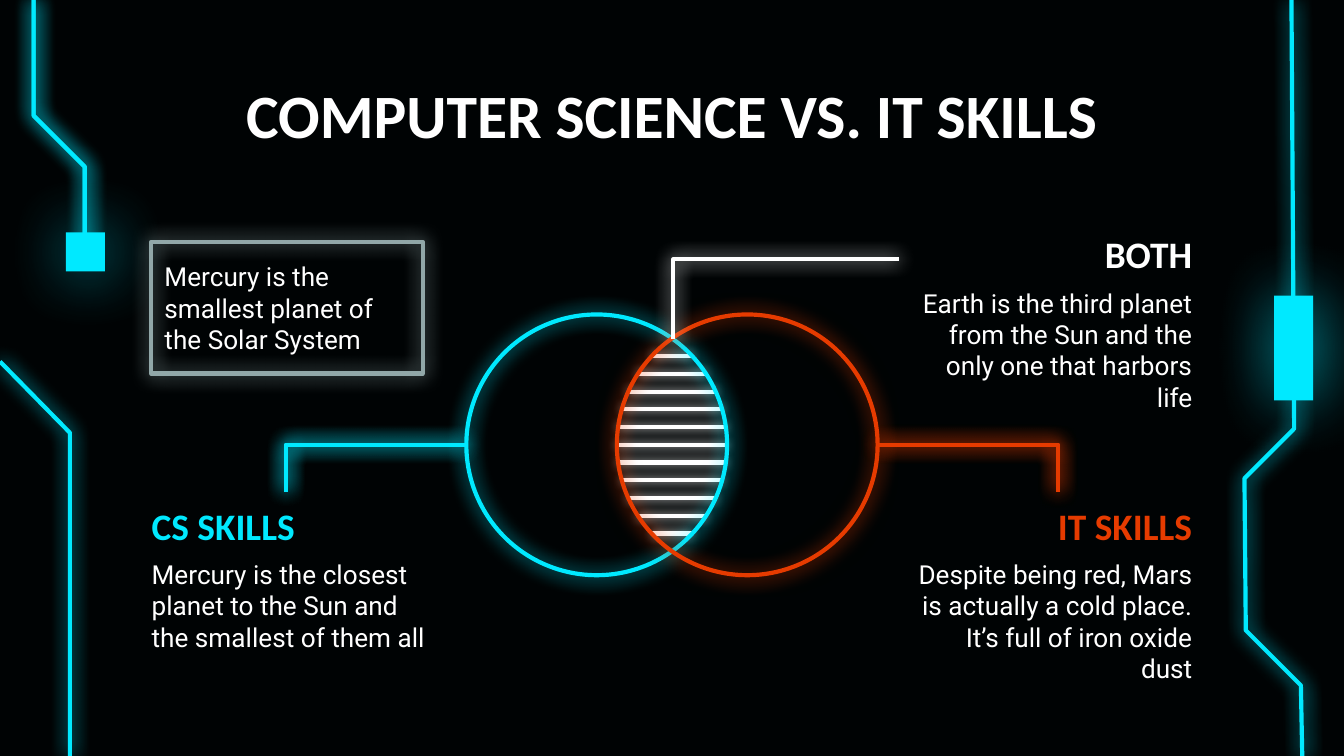
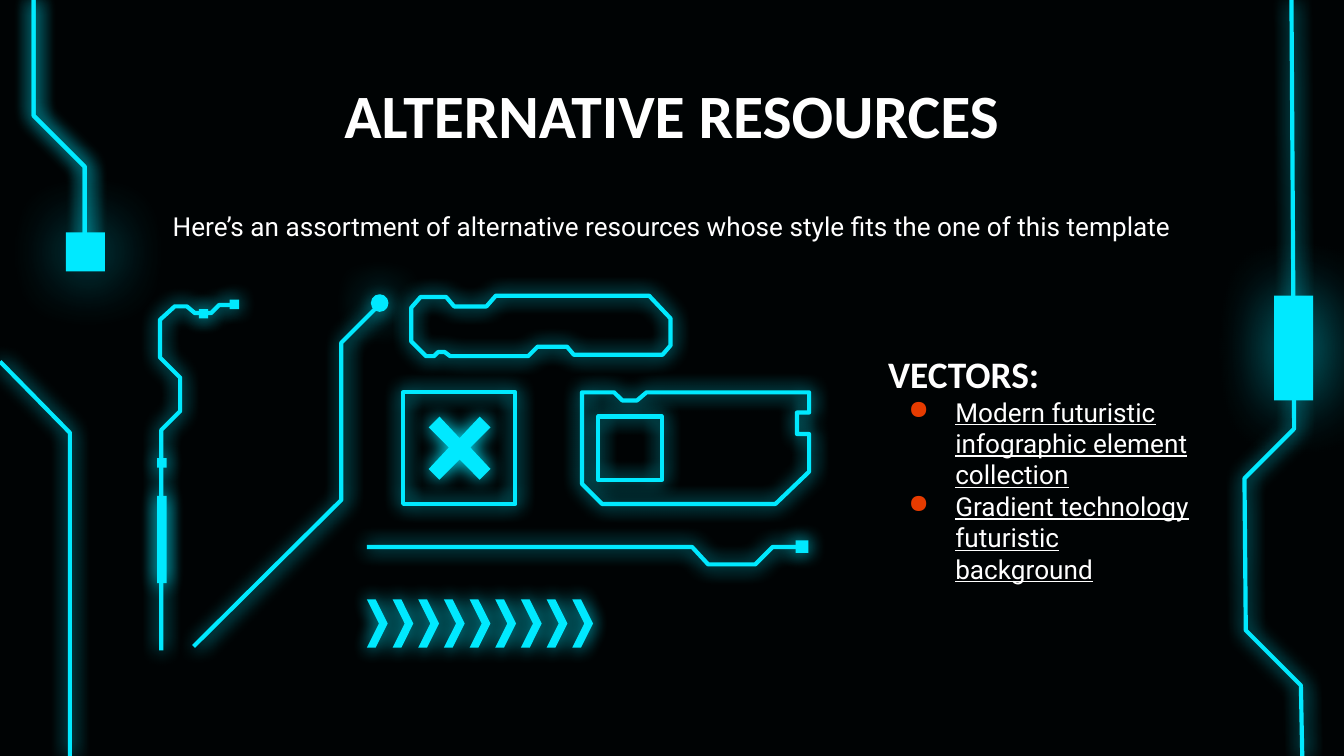
from dataclasses import dataclass
from math import sqrt

from lxml import etree
from pptx import Presentation
from pptx.dml.color import RGBColor
from pptx.enum.shapes import MSO_CONNECTOR, MSO_SHAPE
from pptx.enum.text import MSO_ANCHOR, MSO_AUTO_SIZE, PP_ALIGN
from pptx.oxml.ns import qn
from pptx.slide import Slide
from pptx.util import Emu, Inches, Pt

CENTER, LEFT, RIGHT = PP_ALIGN.CENTER, PP_ALIGN.LEFT, PP_ALIGN.RIGHT
TOP, MIDDLE = MSO_ANCHOR.TOP, MSO_ANCHOR.MIDDLE
RECTANGLE, OVAL = MSO_SHAPE.RECTANGLE, MSO_SHAPE.OVAL
STRAIGHT, ELBOW = MSO_CONNECTOR.STRAIGHT, MSO_CONNECTOR.ELBOW

COLUMNS, ROWS = 100, 56.25
CELL = Inches(0.1)
BLACK, WHITE, CYAN, RED, GRAY = "000304", "FFFFFF", "00E9FF", "E63B00", "91A7A8"
HEADING = dict(font="Calibri", bold=True, size=20)
BODY = dict(font="Roboto", size=14)

Point = tuple[float, float]
Area = tuple[float, float, float, float]


@dataclass(frozen=True)
class Style:
    """Neon look: a glowing outline, a glowing fill, or both."""
    color: str = CYAN
    filled: bool = False
    width: float = 2.25
    blur: float = 10.1
    alpha: int = 100
    shift: float = 0


@dataclass(frozen=True)
class Trace:
    points: tuple[Point, ...]
    closed: bool = False
    style: Style = Style()


@dataclass(frozen=True)
class Skill:
    heading: str
    text: str
    left: float
    top: float
    color: str
    align: PP_ALIGN


@dataclass(frozen=True)
class Pointer:
    start: Point
    end: Point
    color: str
    preset: str = "bentConnector3"


OUTLINE = Style()
SHIFTED = Style(shift=1.5)
SOLID = Style(filled=True, width=0)
HALO = Style(filled=True, width=0, blur=36, alpha=70, shift=1.5)

LEFT_TRACE = ((2.5, 0), (2.5, 8.6), (6.3, 12.4), (6.3, 18.5))
FRAME_TRACES = (
    Trace(((96.1, 0), (96.3, 31.9), (92.6, 35.6), (92.7, 46.9), (96.8, 51), (96.9, ROWS))),
    Trace(LEFT_TRACE, style=SHIFTED),
    Trace(LEFT_TRACE),
    Trace(((0, 26.9), (5.2, 32.2), (5.2, ROWS))),
)
FRAME_BLOCKS = ((94.8, 22, 2.9, 7.8), (4.9, 17.3, 2.9, 2.9))

SKILLS = (
    Skill("CS SKILLS", "Mercury is the closest planet to the Sun and the smallest of them all",
          10.3, 37.4, CYAN, LEFT),
    Skill("IT SKILLS", "Despite being red, Mars is actually a cold place. "
          "It’s full of iron oxide dust", 66.9, 37.4, RED, RIGHT),
    Skill("BOTH", "Earth is the third planet from the Sun and the only one that harbors life",
          66.9, 17.2, WHITE, RIGHT),
)
CS_ENDS = ((34.7, 33.1), (21.3, 36.6), CYAN)
IT_ENDS = ((65.3, 33.1), (78.7, 36.6), RED)
POINTERS = (
    Pointer(*CS_ENDS),
    Pointer(*IT_ENDS),
    Pointer((66.9, 19.3), (50.1, 25.2), WHITE),
    Pointer(*CS_ENDS, "bentConnector2"),
    Pointer(*IT_ENDS, "bentConnector2"),
)

RESOURCE_TRACES = (
    Trace(((14.4, 48.1), (25.4, 37.2), (25.4, 25.5), (28, 22.9)), style=SHIFTED),
    Trace(((43.3, 29.2), (43.3, 36), (44.8, 37.5), (57.7, 37.5), (60.2, 35.1), (60.2, 32.3),
           (59.3, 32.3), (59.3, 30.7), (60.2, 30.7), (60.2, 29.2), (48.1, 29.2), (47.4, 29.8),
           (46.3, 29.8), (45.7, 29.2)), closed=True),
    Trace(((17.1, 22.7), (16.3, 22.7), (15.7, 23.3), (14.5, 23.3), (13.9, 22.8), (13, 22.8),
           (11.9, 23.8), (11.9, 26.6), (13.4, 28.1), (13.4, 30.6), (12, 32), (12, 48.4))),
    Trace(((30.6, 25.4), (30.6, 22.9), (31.3, 22.1), (33.2, 22.1), (33.8, 22.8), (36.2, 22.8),
           (36.9, 22), (48.3, 22), (49.9, 23.7), (49.9, 25.7), (49.3, 26.4), (42.7, 26.4),
           (42.2, 25.8), (40, 25.8), (39.3, 26.5), (33.5, 26.5), (33.1, 26.2), (32.6, 26.2),
           (32.3, 26.5), (31.7, 26.5)), closed=True),
    Trace(((27.3, 40.7), (51.5, 40.7), (52.7, 42), (56.2, 42), (57.5, 40.7), (59.6, 40.7))),
    Trace(((32.7, 31), (31.9, 31.8), (33.4, 33.3), (31.9, 34.9), (32.7, 35.7), (34.2, 34.2),
           (35.7, 35.7), (36.5, 34.9), (35, 33.3), (36.5, 31.8), (35.7, 31), (34.2, 32.6)),
          closed=True, style=SOLID),
)
RESOURCE_BLOCKS = (
    (17.1, 22.3, 0.7, 0.7), (14.8, 23, 0.7, 0.7), (11.7, 34.1, 0.7, 0.7),
    (11.7, 36.9, 0.7, 6.5), (59.2, 40.2, 0.95, 0.95),
)
RESOURCE_FRAMES = ((44.5, 31, 4.75, 4.7), (30, 29.2, 8.35, 8.3))


def cells(count: float) -> Emu:
    return Emu(round(count * CELL))


def paint(target, color: str) -> None:
    """Give a fill one solid colour."""
    target.solid()
    target.fore_color.rgb = RGBColor.from_string(color)


def add_glow(shape, style: Style) -> None:
    effects = etree.SubElement(shape.element.spPr, qn("a:effectLst"))
    shadow = etree.SubElement(effects, qn("a:outerShdw"), blurRad=str(Pt(style.blur)),
                              dist=str(Pt(style.shift)), dir="0", algn="bl", rotWithShape="0")
    color = etree.SubElement(shadow, qn("a:srgbClr"), val=style.color)
    etree.SubElement(color, qn("a:alpha"), val=str(style.alpha * 1000))


def apply_style(shape, style: Style) -> None:
    if style.filled:
        paint(shape.fill, style.color)
    else:
        shape.fill.background()
    if style.width:
        paint(shape.line.fill, style.color)
        shape.line.width = Pt(style.width)
    else:
        shape.line.fill.background()
    add_glow(shape, style)


def add_preset(page: Slide, kind: MSO_SHAPE, area: Area, style: Style = OUTLINE) -> None:
    apply_style(page.shapes.add_shape(kind, *map(cells, area)), style)


def add_contours(page: Slide, contours: list[tuple[Point, ...]], closed: bool,
                 style: Style) -> None:
    """Draw one freeform made of one or more contours."""
    builder = None
    for contour in contours:
        start, *others = [(cells(x), cells(y)) for x, y in contour]
        if builder is None:
            builder = page.shapes.build_freeform(*start)
        else:
            builder.move_to(*start)
        builder.add_line_segments(others, close=closed)
    apply_style(builder.convert_to_shape(), style)


def add_traces(page: Slide, traces: tuple[Trace, ...]) -> None:
    for trace in traces:
        add_contours(page, [trace.points], trace.closed, trace.style)


def add_line(page: Slide, kind: MSO_CONNECTOR, start: Point, end: Point, style: Style):
    line = page.shapes.add_connector(kind, *map(cells, (*start, *end)))
    paint(line.line.fill, style.color)
    line.line.width = Pt(style.width)
    add_glow(line, style)
    return line


def write(paragraph, text: str, *, font: str, size: float, color: str = WHITE,
          bold: bool = False, underline: bool = False, align: PP_ALIGN = LEFT) -> None:
    paragraph.alignment = align
    span = paragraph.add_run()
    span.text = text
    span.font.name, span.font.size = font, Pt(size)
    span.font.bold, span.font.underline = bold, underline
    paint(span.font.fill, color)


def prepare_frame(box, anchor: MSO_ANCHOR, inset_top: float = 1):
    frame = box.text_frame
    frame.word_wrap, frame.auto_size = True, MSO_AUTO_SIZE.NONE
    frame.vertical_anchor = anchor
    frame.margin_left = frame.margin_right = frame.margin_bottom = cells(1)
    frame.margin_top = cells(inset_top)
    return frame


def add_text(page: Slide, area: Area, text: str, *, anchor: MSO_ANCHOR = TOP,
             inset_top: float = 0, **text_format):
    """Add a text box and return its frame."""
    frame = prepare_frame(page.shapes.add_textbox(*map(cells, area)), anchor, inset_top)
    write(frame.paragraphs[0], text, **text_format)
    return frame


def add_bullet(paragraph, symbol: str, color: str) -> None:
    properties = paragraph._p.get_or_add_pPr()
    properties.set("marL", str(cells(5)))
    properties.set("indent", str(cells(-3.5)))
    bullet_color = etree.SubElement(properties, qn("a:buClr"))
    etree.SubElement(bullet_color, qn("a:srgbClr"), val=color)
    etree.SubElement(properties, qn("a:buChar"), char=symbol)


def build_frame(page: Slide) -> None:
    """Draw the circuit frame and hand it to the layout that all pages share."""
    layout = page.slide_layout
    paint(layout.background.fill, BLACK)
    before = len(page.shapes)
    add_traces(page, FRAME_TRACES)
    for area in FRAME_BLOCKS:
        add_preset(page, RECTANGLE, area, HALO)
    for shape in list(page.shapes)[before:]:
        layout.shapes.element.append(shape.element)


def add_page(deck, title: str) -> Slide:
    page = deck.slides.add_slide(deck.slide_layouts.get_by_name("Title Only"))
    box = page.shapes.title
    box.left, box.top, box.width, box.height = map(cells, (7.8, 5.9, 84.4, 5.2))
    frame = prepare_frame(box, MIDDLE)
    write(frame.paragraphs[0], title, **{**HEADING, "size": 33}, align=CENTER)
    return page


def add_venn(page: Slide) -> None:
    radius, offset, middle = 9.7, 5.6, 33.1
    center = COLUMNS / 2
    hatch = Style(WHITE, blur=5.6)
    for step in range(-5, 6):
        rise = step * 1.32
        half = sqrt(radius ** 2 - rise ** 2) - offset
        add_line(page, STRAIGHT, (center - half, middle + rise),
                 (center + half, middle + rise), hatch)
    for x, color in ((center - offset, CYAN), (center + offset, RED)):
        add_preset(page, OVAL, (x - radius, middle - radius, 2 * radius, 2 * radius),
                   Style(color))
    for pointer in POINTERS:
        line = add_line(page, ELBOW, pointer.start, pointer.end, Style(pointer.color))
        geometry = line.element.spPr.find(qn("a:prstGeom"))
        geometry.set("prst", pointer.preset)
        if pointer.preset == "bentConnector3":
            etree.SubElement(geometry.find(qn("a:avLst")), qn("a:gd"),
                             name="adj1", fmla="val 100000")


def build_skills(page: Slide) -> None:
    for skill in SKILLS:
        add_text(page, (skill.left, skill.top, 22.8, 4.2), skill.heading,
                 color=skill.color, align=skill.align, **HEADING)
        add_text(page, (skill.left, skill.top + 4.15, 22.8, 8.6), skill.text,
                 align=skill.align, **BODY)
    note = (11.25, 18, 20.2, 9.8)
    add_preset(page, RECTANGLE, note, Style(GRAY))
    add_text(page, note, "Mercury is the smallest planet of the Solar System",
             anchor=MIDDLE, inset_top=1, **BODY)
    add_venn(page)


def add_chevrons(page: Slide) -> None:
    left, top, pitch, count = 27.3, 44.6, 1.91, 9
    profile = ((0, 0), (0.9, 1.8), (0, 3.6), (0.65, 3.6), (1.55, 1.8), (0.65, 0))
    contours = [tuple((left + index * pitch + x, top + y) for x, y in profile)
                for index in range(count)]
    add_contours(page, contours, True, SOLID)


def build_resources(page: Slide) -> None:
    add_traces(page, RESOURCE_TRACES)
    for area in RESOURCE_BLOCKS:
        add_preset(page, RECTANGLE, area, SOLID)
    for area in RESOURCE_FRAMES:
        add_preset(page, RECTANGLE, area)
    add_preset(page, OVAL, (27.9, 22.4, 0.6, 0.6), Style(shift=0.8))
    add_preset(page, OVAL, (27.7, 22, 1.1, 1.1), Style(filled=True, width=1.5, blur=22.5))
    add_chevrons(page)
    intro = add_text(page, (7.8, 14.3, 84.4, 3.8), "Here’s an assortment of alternative "
                     "resources whose style fits the one of this template",
                     inset_top=1, align=CENTER, **BODY)
    intro.paragraphs[0].line_spacing = 1.15
    intro.paragraphs[0].space_after = Pt(16)
    vectors = add_text(page, (65.1, 21.2, 24.4, 27.2), "VECTORS:", anchor=MIDDLE,
                       inset_top=1, **HEADING)
    for text in ("Modern futuristic infographic element collection",
                 "Gradient technology futuristic background"):
        paragraph = vectors.add_paragraph()
        add_bullet(paragraph, "●", RED)
        write(paragraph, text, underline=True, **BODY)


def main() -> None:
    deck = Presentation()
    deck.slide_width, deck.slide_height = cells(COLUMNS), cells(ROWS)
    skills = add_page(deck, "COMPUTER SCIENCE VS. IT SKILLS")
    build_frame(skills)
    build_skills(skills)
    build_resources(add_page(deck, "ALTERNATIVE RESOURCES"))
    deck.save("out.pptx")


if __name__ == "__main__":
    main()
